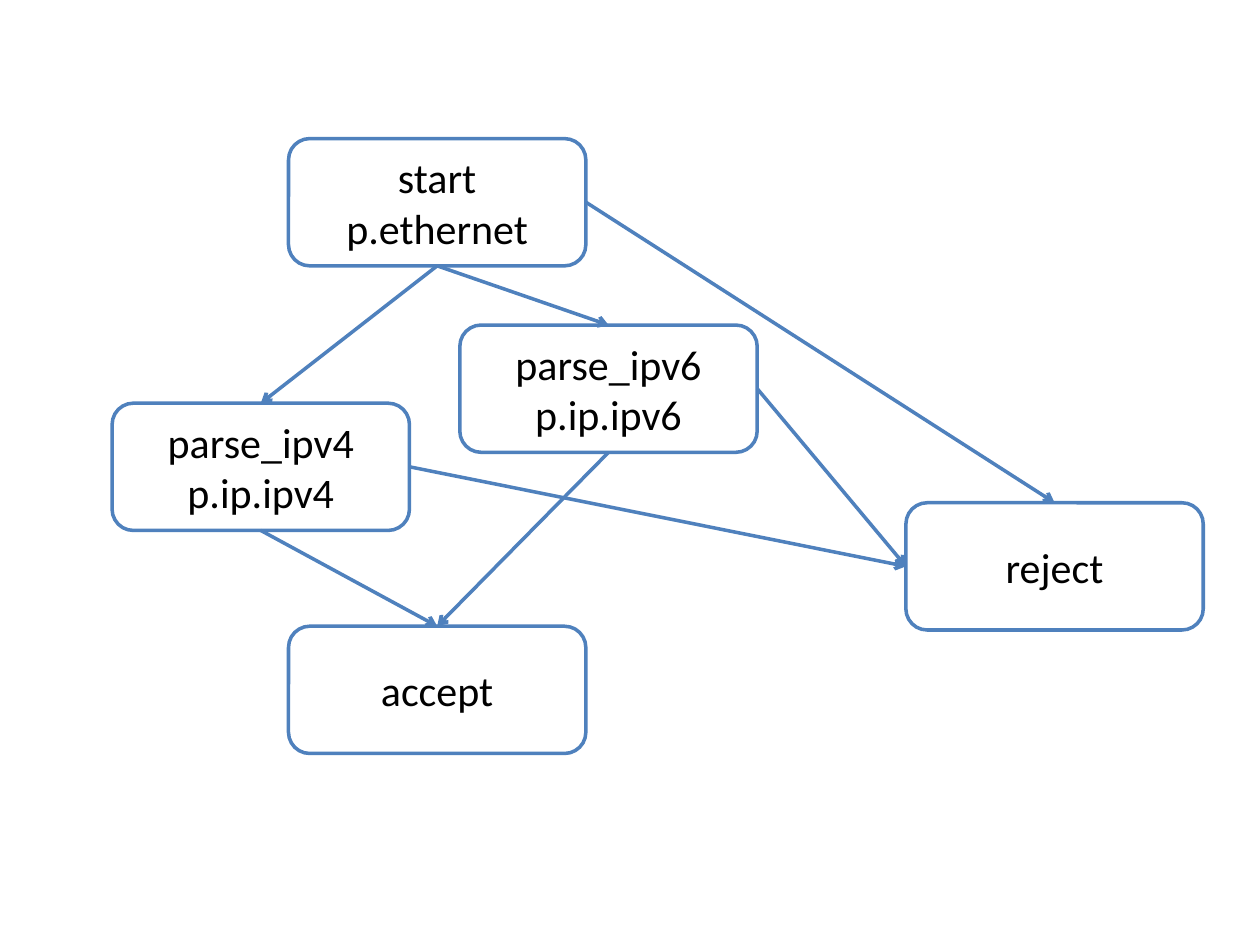
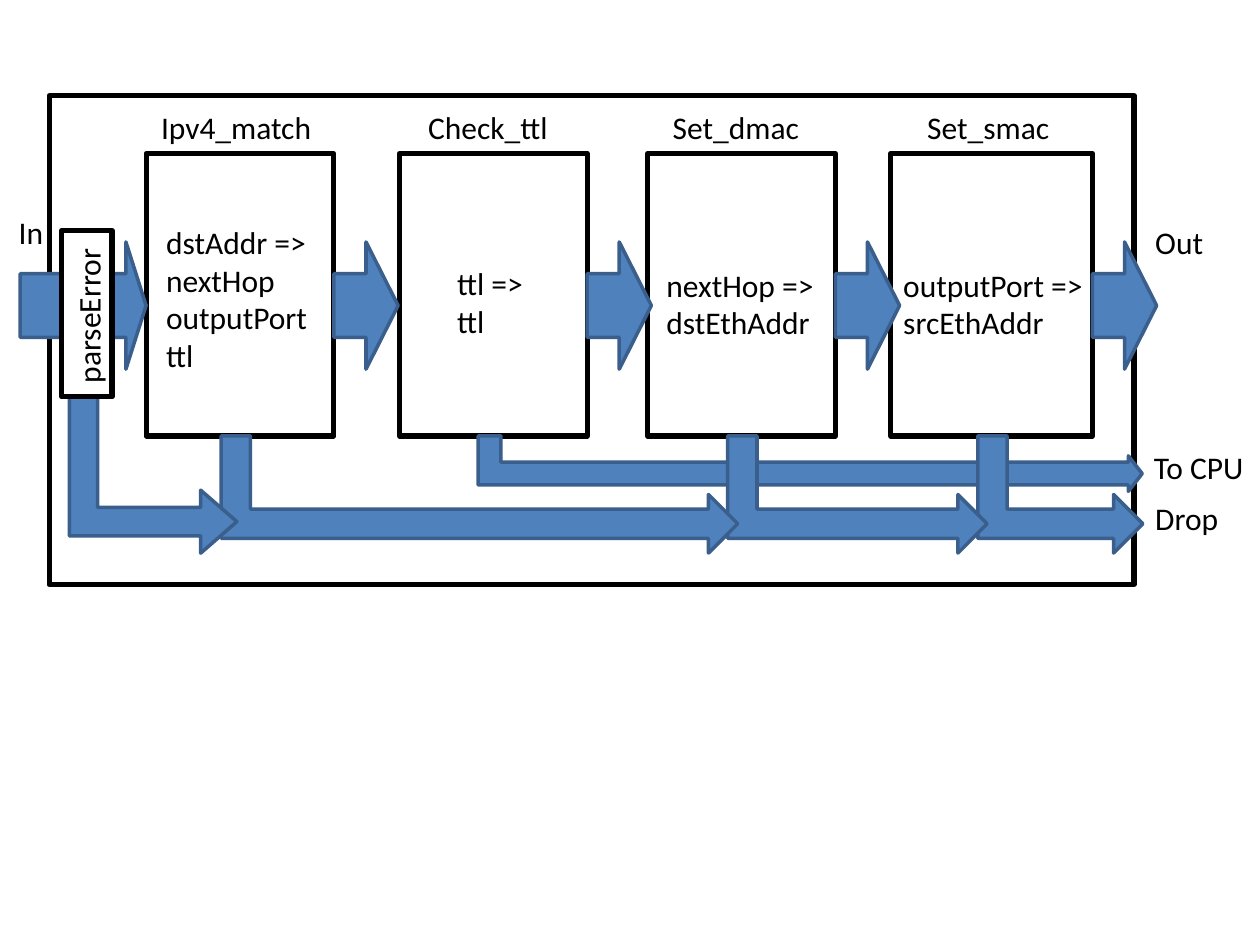
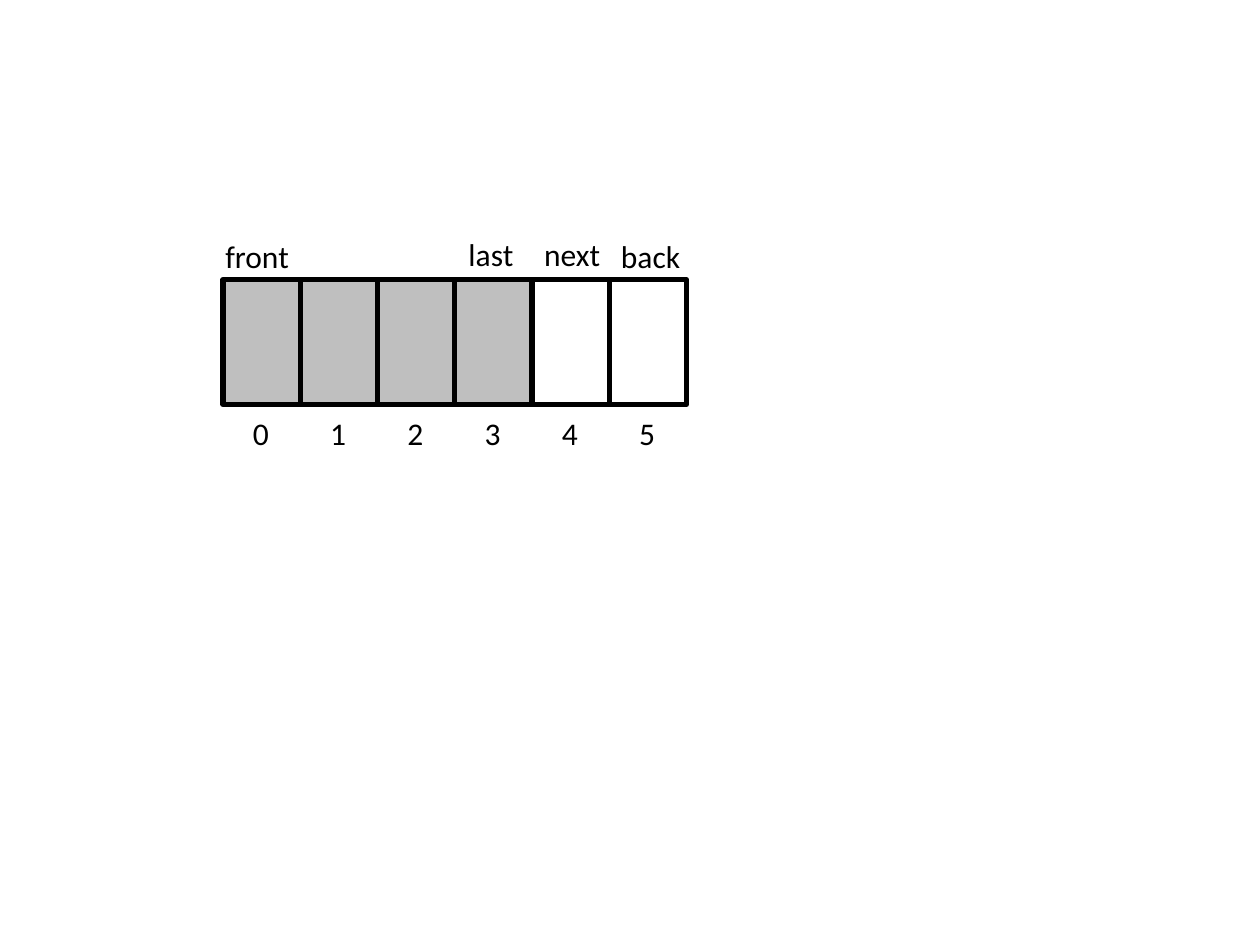
from dataclasses import dataclass
from typing import NamedTuple

from lxml.etree import SubElement
from pptx import Presentation
from pptx.dml.color import RGBColor
from pptx.enum.shapes import MSO_CONNECTOR, MSO_SHAPE
from pptx.enum.text import MSO_ANCHOR, MSO_AUTO_SIZE, PP_ALIGN
from pptx.oxml.ns import qn
from pptx.shapes.autoshape import Shape
from pptx.slide import Slide
from pptx.util import Inches, Pt

SLIDE_WIDTH, SLIDE_HEIGHT = Inches(10), Inches(7.5)
COLUMNS = 100  # square grid: 100 columns by 75 rows
UNIT = SLIDE_WIDTH // COLUMNS
FONT = "Calibri"
COLORS = {
    "text": "000000",
    "outline": "000000",
    "paper": "FFFFFF",
    "blue": "4F81BD",
    "dark_blue": "3A5F8C",
    "gray": "BFBFBF",
}
TOP, LEFT, BOTTOM, RIGHT = range(4)  # connection sites of a box


class Box(NamedTuple):
    """A place on the grid, in columns and rows."""

    left: float
    top: float
    width: float
    height: float

    def turned(self) -> "Box":
        """Return the frame that covers this box after a quarter turn."""
        shift = (self.width - self.height) / 2
        return Box(self.left + shift, self.top - shift, self.height, self.width)

    def lengths(self) -> list[int]:
        """Return the box in slide lengths."""
        return [round(value * UNIT) for value in self]


class State(NamedTuple):
    """A parser state and its top left corner."""

    text: str
    left: float
    top: float


class Edge(NamedTuple):
    """An arrow between the sides of two states."""

    source: str
    source_side: int
    target: str
    target_side: int


@dataclass
class Stage:
    """A pipeline block with a caption, content and the arrow that leaves it."""

    name: str
    left: float
    width: float
    caption_left: float
    caption_width: float
    lines: list[str]
    text_left: float
    text_top: float
    text_width: float


class BentArrow(NamedTuple):
    """An arrow that runs down, then right, within a box."""

    box: Box
    adjustments: tuple[float, ...] = ()


class Label(NamedTuple):
    """A short text and its place."""

    text: str
    left: float
    top: float
    width: float


def color(name: str) -> RGBColor:
    """Look up a shared colour."""
    return RGBColor.from_string(COLORS[name])


def write(shape: Shape, lines: list[str], size: int, align: PP_ALIGN) -> None:
    """Put one paragraph per line into a shape."""
    frame = shape.text_frame
    for index, line in enumerate(lines):
        paragraph = frame.paragraphs[0] if index == 0 else frame.add_paragraph()
        paragraph.text = line
        paragraph.alignment = align
        paragraph.font.name = FONT
        paragraph.font.size = Pt(size)
        paragraph.font.color.rgb = color("text")


def add_block(slide: Slide, kind: MSO_SHAPE, box: Box, fill: str | None = None,
              line: str = "outline", weight: float = 3,
              adjustments: tuple[float, ...] = ()) -> Shape:
    """Draw a preset shape without shadow."""
    shape = slide.shapes.add_shape(kind, *box.lengths())
    shape.shadow.inherit = False
    if fill:
        shape.fill.solid()
        shape.fill.fore_color.rgb = color(fill)
    else:
        shape.fill.background()
    shape.line.color.rgb = color(line)
    shape.line.width = Pt(weight)
    for index, value in enumerate(adjustments):
        shape.adjustments[index] = value
    return shape


def add_text(slide: Slide, lines: list[str], left: float, top: float,
             width: float, wrap: bool = False) -> Shape:
    """Draw a text box whose height follows its line count."""
    box = Box(left, top, width, 1 + 3 * len(lines))
    shape = slide.shapes.add_textbox(*box.lengths())
    shape.text_frame.word_wrap = wrap
    shape.text_frame.auto_size = MSO_AUTO_SIZE.SHAPE_TO_FIT_TEXT
    write(shape, lines, 18, PP_ALIGN.LEFT)
    return shape


def add_state(slide: Slide, state: State) -> Shape:
    """Draw one rounded parser state."""
    shape = add_block(slide, MSO_SHAPE.ROUNDED_RECTANGLE,
                      Box(state.left, state.top, 23.6, 10.1), "paper", "blue", 2)
    shape.text_frame.vertical_anchor = MSO_ANCHOR.MIDDLE
    write(shape, [state.text], 24, PP_ALIGN.CENTER)
    return shape


def add_edge(slide: Slide, edge: Edge, states: dict[str, Shape]) -> None:
    """Connect two states with an arrow."""
    connector = slide.shapes.add_connector(MSO_CONNECTOR.STRAIGHT, 0, 0, 0, 0)
    connector.begin_connect(states[edge.source], edge.source_side)
    connector.end_connect(states[edge.target], edge.target_side)
    connector.line.color.rgb = color("blue")
    connector.line.width = Pt(2)
    properties = connector._element.spPr
    SubElement(properties.find(qn("a:ln")), qn("a:tailEnd"), type="arrow")
    SubElement(properties, qn("a:effectLst"))


def add_flow_arrow(slide: Slide, left: float, width: float = 5.1,
                   adjustments: tuple[float, ...] = ()) -> None:
    """Draw a block arrow on the main path of the pipeline."""
    add_block(slide, MSO_SHAPE.RIGHT_ARROW, Box(left, 19.2, width, 10.1),
              "blue", "dark_blue", 2, adjustments)


def add_bent_arrow(slide: Slide, arrow: BentArrow) -> None:
    """Draw an arrow that leaves a block downwards and turns right."""
    shape = add_block(slide, MSO_SHAPE.BENT_UP_ARROW, arrow.box.turned(),
                      "blue", "dark_blue", 2, arrow.adjustments)
    shape.rotation = 90


def build_parser_slide(slide: Slide) -> None:
    """Draw the state graph of the parser."""
    states = {
        "start": State("start\vp.ethernet", 22.9, 11),
        "ipv6": State("parse_ipv6\vp.ip.ipv6", 36.5, 25.8),
        "ipv4": State("parse_ipv4\vp.ip.ipv4", 8.9, 32),
        "accept": State("accept", 22.9, 49.7),
        "reject": State("reject", 71.9, 39.9),
    }
    edges = [
        Edge("start", BOTTOM, "ipv6", TOP),
        Edge("start", RIGHT, "reject", TOP),
        Edge("ipv6", BOTTOM, "accept", TOP),
        Edge("start", BOTTOM, "ipv4", TOP),
        Edge("ipv4", BOTTOM, "accept", TOP),
        Edge("ipv6", RIGHT, "reject", LEFT),
        Edge("ipv4", RIGHT, "reject", LEFT),
    ]
    shapes = {name: add_state(slide, state) for name, state in states.items()}
    for edge in edges:
        add_edge(slide, edge, shapes)


def build_pipeline_slide(slide: Slide) -> None:
    """Draw the match-action pipeline with its drop and CPU paths."""
    stages = [
        Stage("Ipv4_match", 11.6, 14.9, 11.8, 14.6,
              ["dstAddr =>", "nextHop", "outputPort", "ttl"], 12.2, 17.2, 13.4),
        Stage("Check_ttl", 31.7, 14.9, 33, 13.5, ["ttl =>", "ttl"], 35.3, 20.5, 7.3),
        Stage("Set_dmac", 51.4, 14.9, 52.4, 12.9,
              ["nextHop =>", "dstEthAddr"], 51.9, 20.6, 13.9),
        Stage("Set_smac", 70.7, 16, 72.6, 12.2,
              ["outputPort =>", "srcEthAddr"], 70.7, 20.6, 16.5),
    ]
    stage_top, stage_height = 12.2, 22.4
    stage_bottom = stage_top + stage_height
    bent_arrows = [
        BentArrow(Box(37.95, stage_bottom, 52.7, 4.4), (0.41, 0.32, 0.25)),
        BentArrow(Box(77.6, stage_bottom, 13.1, 9.3)),
        BentArrow(Box(57.75, stage_bottom, 20.6, 9.3)),
        BentArrow(Box(17.55, stage_bottom, 41, 9.3)),
        BentArrow(Box(5.5, 31.4, 13.3, 12.5), (0.18, 0.2, 0.23)),
    ]
    outlets = [
        Label("Drop", 90.7, 39.1, 7.1),
        Label("To CPU", 90.6, 35.1, 9.4),
        Label("In", 0.5, 16.4, 4),
        Label("Out", 90.7, 17.2, 5.9),
    ]
    add_block(slide, MSO_SHAPE.RECTANGLE, Box(3.9, 7.6, 86.1, 38.8))
    for stage in stages:
        add_block(slide, MSO_SHAPE.RECTANGLE,
                  Box(stage.left, stage_top, stage.width, stage_height))
        add_text(slide, [stage.name], stage.caption_left, 8.1,
                 stage.caption_width, wrap=True)
    add_flow_arrow(slide, 1.6, 10, (0.5, 0.16))
    for stage in stages:
        add_flow_arrow(slide, stage.left + stage.width)
    for arrow in bent_arrows:
        add_bent_arrow(slide, arrow)
    for stage in stages:
        add_text(slide, stage.lines, stage.text_left, stage.text_top, stage.text_width)
    for label in outlets:
        add_text(slide, [label.text], label.left, label.top, label.width)
    add_block(slide, MSO_SHAPE.RECTANGLE, Box(4.9, 18.3, 4, 13.2), "paper")
    parse_error = add_text(slide, ["parseError"], -2.6, 19.8, 19.2, wrap=True)
    parse_error.rotation = 270


def build_stack_slide(slide: Slide) -> None:
    """Draw the header stack with indexes and pointers."""
    cell_count, used_count = 6, 4
    stack_left, cell_width = 17.7, 6.13
    pointers = [
        Label("next", 42.2, 18.2, 6.5),
        Label("last", 36.2, 18.2, 5.7),
        Label("front", 16.9, 18.3, 7.2),
        Label("back", 48.3, 18.3, 6.8),
    ]
    for index in range(cell_count):
        left = stack_left + index * cell_width
        add_block(slide, MSO_SHAPE.RECTANGLE, Box(left, 22.2, cell_width, 9.9),
                  "gray" if index < used_count else None)
        add_text(slide, [str(index)], left + 1.4, 32.4, 3.3)
    for pointer in pointers:
        add_text(slide, [pointer.text], pointer.left, pointer.top, pointer.width)


def main() -> None:
    """Build and save the presentation."""
    presentation = Presentation()
    presentation.slide_width = SLIDE_WIDTH
    presentation.slide_height = SLIDE_HEIGHT
    blank_layout = presentation.slide_layouts[6]
    for build in (build_parser_slide, build_pipeline_slide, build_stack_slide):
        build(presentation.slides.add_slide(blank_layout))
    presentation.save("out.pptx")


main()
